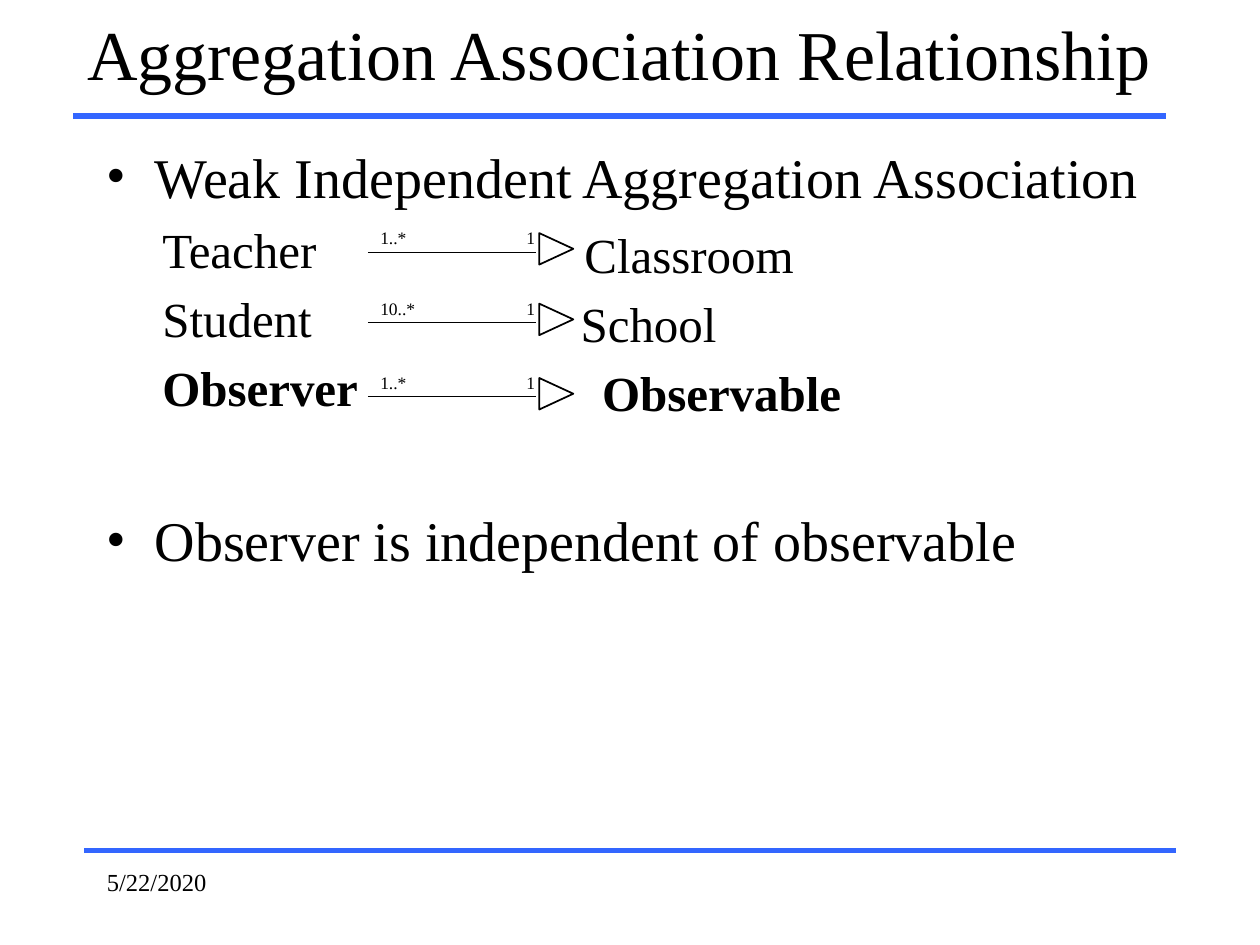
import pptx
import pptx.dml.color
import pptx.enum.shapes
import pptx.enum.text
import pptx.oxml.ns
import pptx.util
from lxml import etree

Inches = pptx.util.Inches
Pt = pptx.util.Pt
qn = pptx.oxml.ns.qn
ANCHOR = pptx.enum.text.MSO_ANCHOR
FONT = "Times New Roman"
BLACK = "000000"
BLUE = "3366FF"


def color(value):
    return pptx.dml.color.RGBColor.from_string(value)


def add_run(p, text, size, bold=False):
    r = p.add_run()
    r.text = text
    r.font.name = FONT
    r.font.size = Pt(size)
    r.font.bold = bold
    r.font.color.rgb = color(BLACK)


def add_box(shapes, left, top, width, height, anchor=ANCHOR.TOP):
    sp = shapes.add_textbox(Inches(left), Inches(top), Inches(width), Inches(height))
    tf = sp.text_frame
    tf.word_wrap = True
    tf.vertical_anchor = anchor
    return tf


def add_line(shapes, left, right, y, line_color, weight):
    line = shapes.add_connector(
        pptx.enum.shapes.MSO_CONNECTOR.STRAIGHT,
        Inches(left), Inches(y), Inches(right), Inches(y))
    line.line.color.rgb = color(line_color)
    line.line.width = Pt(weight)
    etree.SubElement(line._element.spPr, qn("a:effectLst"))


def add_bullet(p, text, space):
    p.space_before = Pt(space)
    pPr = p._p.get_or_add_pPr()
    pPr.set("marL", str(Inches(0.38)))
    pPr.set("indent", str(-Inches(0.38)))
    etree.SubElement(pPr, qn("a:buFont"), typeface=FONT)
    etree.SubElement(pPr, qn("a:buChar"), char="•")
    add_run(p, text, 32)


def add_source(p, text, bold):
    p.space_before = Pt(5.8)
    pPr = p._p.get_or_add_pPr()
    pPr.set("marL", str(Inches(0.44)))
    pPr.set("indent", "0")
    etree.SubElement(pPr, qn("a:buNone"))
    add_run(p, text, 28, bold)


def add_label(shapes, left, top, width, text):
    tf = add_box(shapes, left, top, width, 0.27, ANCHOR.MIDDLE)
    tf.auto_size = pptx.enum.text.MSO_AUTO_SIZE.SHAPE_TO_FIT_TEXT
    add_run(tf.paragraphs[0], text, 10)


def add_association(slide, y, multiplicity):
    shapes = slide.shapes.add_group_shape().shapes
    add_line(shapes, 2.92, 4.25, y, BLACK, 0.5)
    add_label(shapes, 2.92, y - 0.25, 0.5, multiplicity)
    add_label(shapes, 4.08, y - 0.25, 0.33, "1")
    sp = shapes.add_shape(
        pptx.enum.shapes.MSO_SHAPE.ISOSCELES_TRIANGLE,
        Inches(4.29), Inches(y - 0.16), Inches(0.25), Inches(0.27))
    sp.rotation = 90
    sp.shadow.inherit = False
    sp.fill.background()
    sp.line.color.rgb = color(BLACK)
    sp.line.width = Pt(1)


def main():
    prs = pptx.Presentation()
    prs.slide_width = Inches(10)
    prs.slide_height = Inches(7.5)
    s = prs.slides.add_slide(prs.slide_layouts[6])

    add_line(s.shapes, 0.67, 9.33, 6.75, BLUE, 3)
    add_line(s.shapes, 0.58, 9.25, 0.92, BLUE, 3)

    title = add_box(s.shapes, 0.58, 0, 8.67, 0.83, ANCHOR.MIDDLE).paragraphs[0]
    title.alignment = pptx.enum.text.PP_ALIGN.CENTER
    add_run(title, "Aggregation Association Relationship", 40)

    body = add_box(s.shapes, 0.75, 1.08, 8.5, 5.58)
    add_bullet(body.paragraphs[0], "Weak Independent Aggregation Association", 4)
    associations = [
        ("Teacher", "Classroom", 4.54, False, 2, "1..*"),
        ("Student", "School", 4.51, False, 2.56, "10..*"),
        ("Observer", "Observable", 4.68, True, 3.15, "1..*"),
    ]
    for row, (source, target, left, bold, y, multiplicity) in enumerate(associations):
        add_source(body.add_paragraph(), source, bold)
        tf = add_box(s.shapes, left, 1.73 + 0.55 * row, 2.5, 0.55)
        add_run(tf.paragraphs[0], target, 28, bold)
        add_association(s, y, multiplicity)
    add_bullet(body.add_paragraph(), "Observer is independent of observable", 51)

    date = add_box(s.shapes, 0.75, 6.83, 2.08, 0.5).paragraphs[0]
    add_run(date, "5/22/2020", 14)

    prs.save("out.pptx")


if __name__ == "__main__":
    main()
